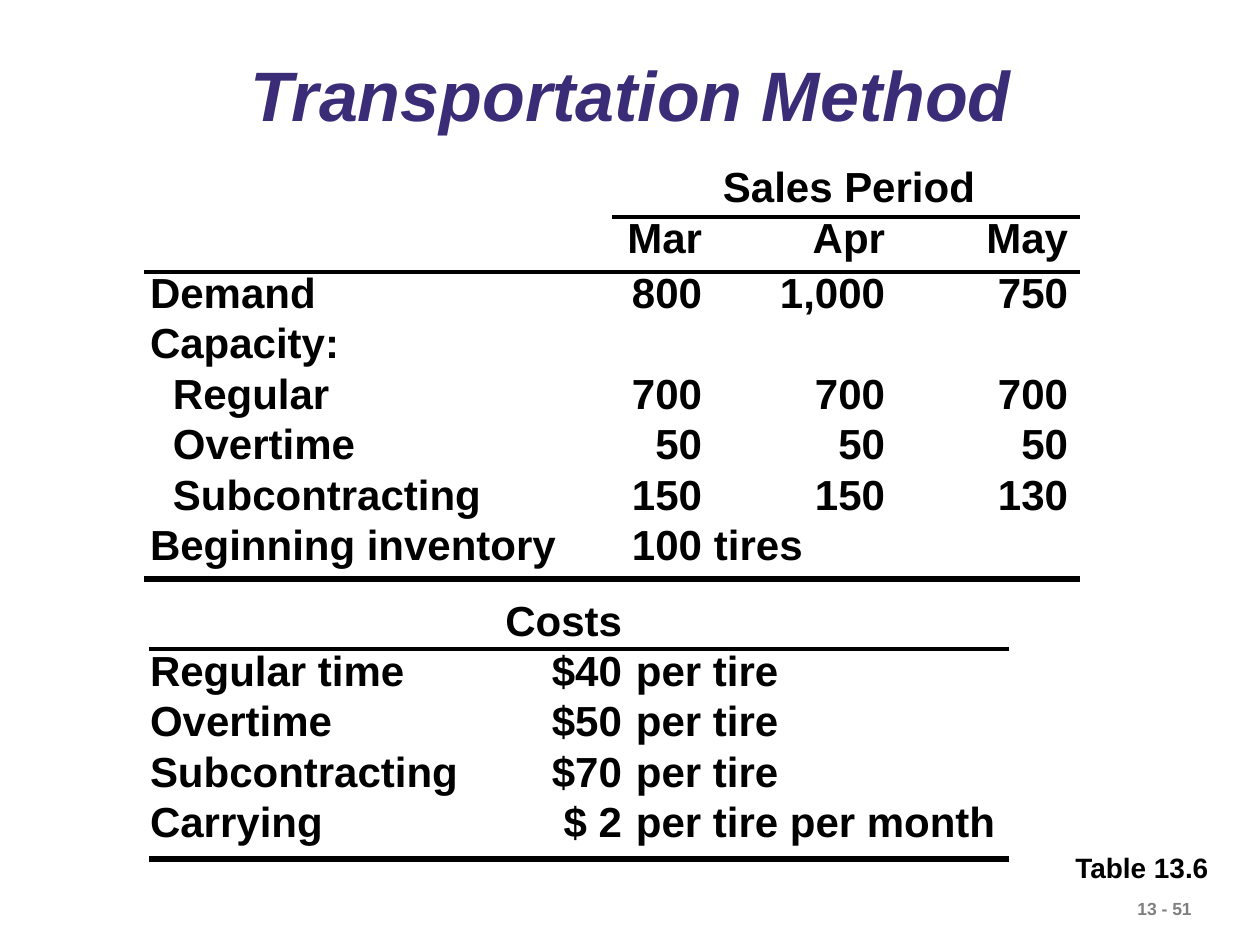
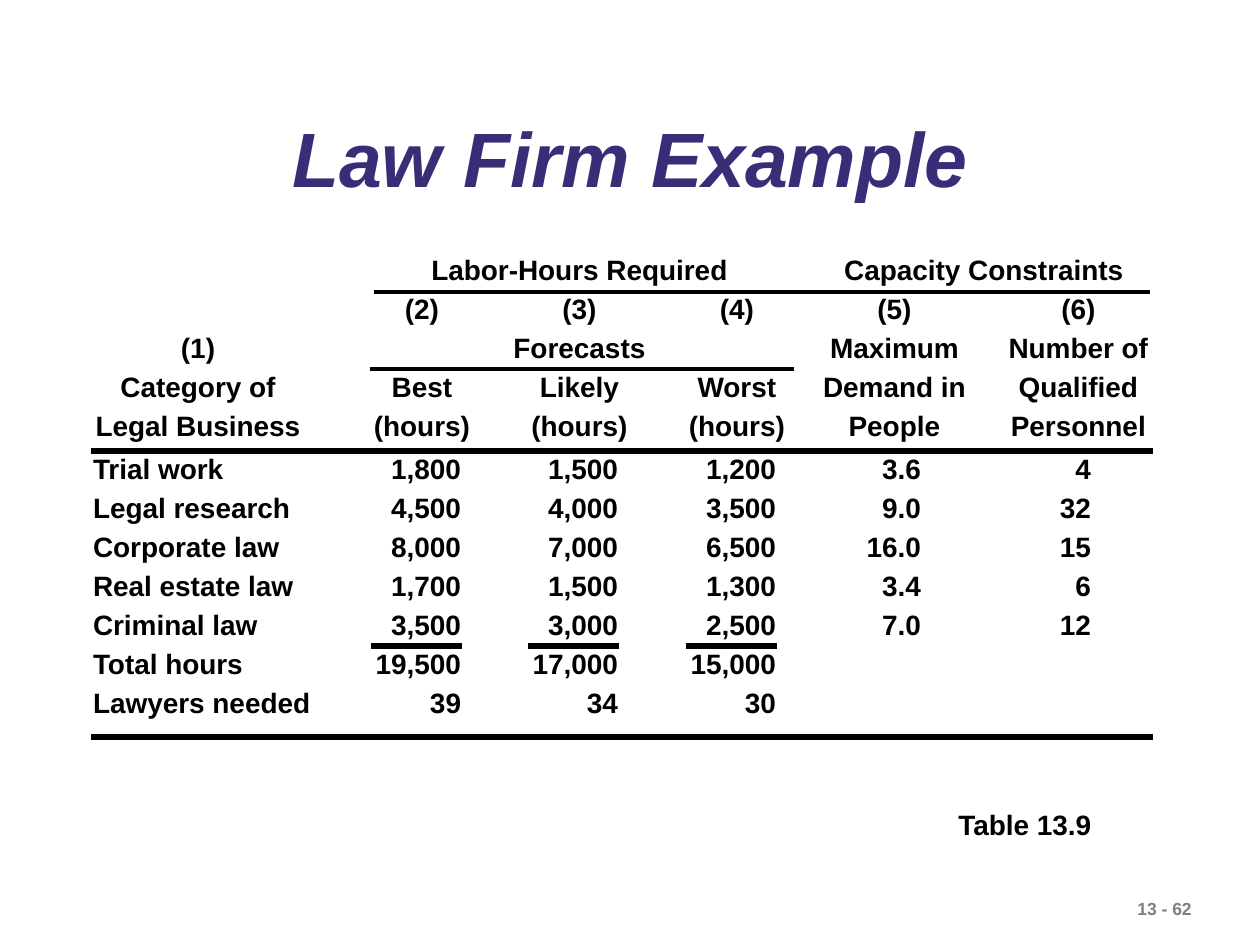
from pptx import Presentation
from pptx.dml.color import RGBColor
from pptx.enum.shapes import MSO_CONNECTOR
from pptx.enum.text import MSO_ANCHOR, PP_ALIGN
from pptx.oxml.ns import qn
from pptx.util import Emu, Pt
from lxml import etree

PX_PER_INCH = 126
FONT = "Arial"
BLACK, PURPLE, GRAY = "000000", "3A2C76", "7F7F7F"
LEFT, CENTER, RIGHT = PP_ALIGN.LEFT, PP_ALIGN.CENTER, PP_ALIGN.RIGHT
NO_TABLE_STYLE = "{2D5ABB26-0587-4C30-8999-92F81FD0307C}"
THIN, THICK = 2.25, 3

SALES = [
    ("Demand", "800", "1,000", "750"),
    ("Capacity:",),
    ("Regular", "700", "700", "700"),
    ("Overtime", "50", "50", "50"),
    ("Subcontracting", "150", "150", "130"),
    ("Beginning inventory", "100"),
]
INDENTED = ("Regular", "Overtime", "Subcontracting")
COSTS = [
    ("", "Costs", ""),
    ("Regular time", "$40", "per tire"),
    ("Overtime", "$50", "per tire"),
    ("Subcontracting", "$70", "per tire"),
    ("Carrying", "$ 2", "per tire per month"),
]
LAW_HEADINGS = [
    ("", "Labor-Hours Required", "", "", "Capacity Constraints", ""),
    ("", "(2)", "(3)", "(4)", "(5)", "(6)"),
    ("(1)", "Forecasts", "", "", "Maximum", "Number of"),
    ("Category of", "Best", "Likely", "Worst", "Demand in", "Qualified"),
    ("Legal Business", "(hours)", "(hours)", "(hours)", "People", "Personnel"),
]
LAW_ROWS = [
    ("Trial work", "1,800", "1,500", "1,200", "3.6", "4"),
    ("Legal research", "4,500", "4,000", "3,500", "9.0", "32"),
    ("Corporate law", "8,000", "7,000", "6,500", "16.0", "15"),
    ("Real estate law", "1,700", "1,500", "1,300", "3.4", "6"),
    ("Criminal law", "3,500", "3,000", "2,500", "7.0", "12"),
    ("Total hours", "19,500", "17,000", "15,000"),
    ("Lawyers needed", "39", "34", "30"),
]


def px(n):
    return Emu(round(n * 914400 / PX_PER_INCH))


def rgb(color):
    return RGBColor.from_string(color)


def write(tf, text, size=24, color=BLACK, italic=False, align=LEFT):
    p = tf.paragraphs[0]
    p.alignment = align
    r = p.add_run()
    r.text = text
    r.font.name, r.font.size = FONT, Pt(size)
    r.font.bold, r.font.italic = True, italic
    r.font.color.rgb = rgb(color)
    return p


def add_label(s, text, x, y, w, h, **fmt):
    tf = s.shapes.add_textbox(px(x), px(y), px(w), px(h)).text_frame
    tf.word_wrap = True
    write(tf, text, **fmt)


def add_rule(s, x1, x2, y, weight=THICK):
    line = s.shapes.add_connector(MSO_CONNECTOR.STRAIGHT, px(x1), px(y), px(x2), px(y))
    line.line.color.rgb = rgb(BLACK)
    line.line.width = Pt(weight)
    etree.SubElement(line._element.spPr, qn("a:effectLst"))


def add_grid(s, x, y, widths, heights):
    """Add a table without style, fills or cell margins."""
    frame = s.shapes.add_table(len(heights), len(widths), px(x), px(y),
                               px(sum(widths)), px(sum(heights)))
    table = frame.table
    table.first_row = table.horz_banding = False
    table._tbl.tblPr.find(qn("a:tableStyleId")).text = NO_TABLE_STYLE
    for column, width in zip(table.columns, widths):
        column.width = px(width)
    for row, height in zip(table.rows, heights):
        row.height = px(height)
    for cell in table.iter_cells():
        cell.fill.background()
        cell.vertical_anchor = MSO_ANCHOR.TOP
        cell.margin_left = cell.margin_right = 0
        cell.margin_top = cell.margin_bottom = 0
    return table


def fill_cell(cell, text, left=0, right=0, top=0, **fmt):
    if text:
        cell.margin_left, cell.margin_right, cell.margin_top = px(left), px(right), px(top)
        write(cell.text_frame, text, **fmt)


def add_slide(prs, title, number, box, size):
    s = prs.slides.add_slide(prs.slide_layouts[5])
    sp = s.shapes.title
    sp.left, sp.top, sp.width, sp.height = map(px, box)
    sp.text_frame.vertical_anchor = MSO_ANCHOR.MIDDLE
    p = write(sp.text_frame, title, size=size, color=PURPLE, italic=True, align=CENTER)
    p.line_spacing = 0.9
    add_label(s, number, 1125, 892, 130, 34, size=10, color=GRAY)
    return s


def add_sales_table(s):
    table = add_grid(s, 150, 165, [462, 102, 183, 183], [50, 55] + [50] * len(SALES))
    table.cell(0, 1).merge(table.cell(0, 3))
    fill_cell(table.cell(0, 1), "Sales Period", left=6, align=CENTER)
    for i, row in enumerate([("", "Mar", "Apr", "May")] + SALES, start=1):
        fill_cell(table.cell(i, 0), row[0], left=23 if row[0] in INDENTED else 0)
        for j, value in enumerate(row[1:], start=1):
            fill_cell(table.cell(i, j), value, right=12, align=RIGHT)
    fill_cell(table.cell(len(SALES) + 1, 2), "tires")
    add_rule(s, 612, 1080, 217, THIN)
    add_rule(s, 144, 1080, 272, THIN)
    add_rule(s, 144, 1080, 579)


def add_cost_table(s):
    table = add_grid(s, 150, 598, [340, 146, 373], [50] * len(COSTS))
    for i, (item, cost, unit) in enumerate(COSTS):
        fill_cell(table.cell(i, 0), item)
        fill_cell(table.cell(i, 1), cost, right=14, align=RIGHT)
        fill_cell(table.cell(i, 2), unit)
    add_rule(s, 149, 1009, 649, THIN)
    add_rule(s, 149, 1009, 859)


def add_law_table(s):
    heads = len(LAW_HEADINGS)
    heights = [39] * (heads - 1) + [43] + [39] * len(LAW_ROWS)
    table = add_grid(s, 93, 252, [250, 158, 157, 158, 157, 211], heights)
    for i, first, last in ((0, 1, 3), (0, 4, 5), (2, 1, 3)):
        table.cell(i, first).merge(table.cell(i, last))
    for i, row in enumerate(LAW_HEADINGS):
        for j, text in enumerate(row):
            right = 40 if j == 0 else 32 if text == "Capacity Constraints" else 0
            fill_cell(table.cell(i, j), text, right=right, top=3, size=16, align=CENTER)
    margins = [0, 40, 40, 40, 52, 93]
    for i, row in enumerate(LAW_ROWS, start=heads):
        for j, text in enumerate(row):
            fill_cell(table.cell(i, j), text, right=margins[j], top=3, size=16,
                      align=RIGHT if j else LEFT)
    add_rule(s, 374, 1150, 292, THIN)
    add_rule(s, 370, 794, 369, THIN)
    for y in (451, 737):
        add_rule(s, 91, 1153, y)
    for x in (371, 528, 686):
        add_rule(s, x, x + 91, 646)


def main():
    prs = Presentation()
    prs.slide_width, prs.slide_height = px(1260), px(945)

    s = add_slide(prs, "Transportation Method", "13 - 51", (95, 40, 1071, 118), 40)
    add_sales_table(s)
    add_cost_table(s)
    add_label(s, "Table 13.6", 1063, 844, 170, 47, size=16)

    s = add_slide(prs, "Law Firm Example", "13 - 62", (76, 98, 1109, 130), 44)
    add_law_table(s)
    add_label(s, "Table 13.9", 946, 801, 170, 47, size=16)

    prs.save("out.pptx")


if __name__ == "__main__":
    main()
